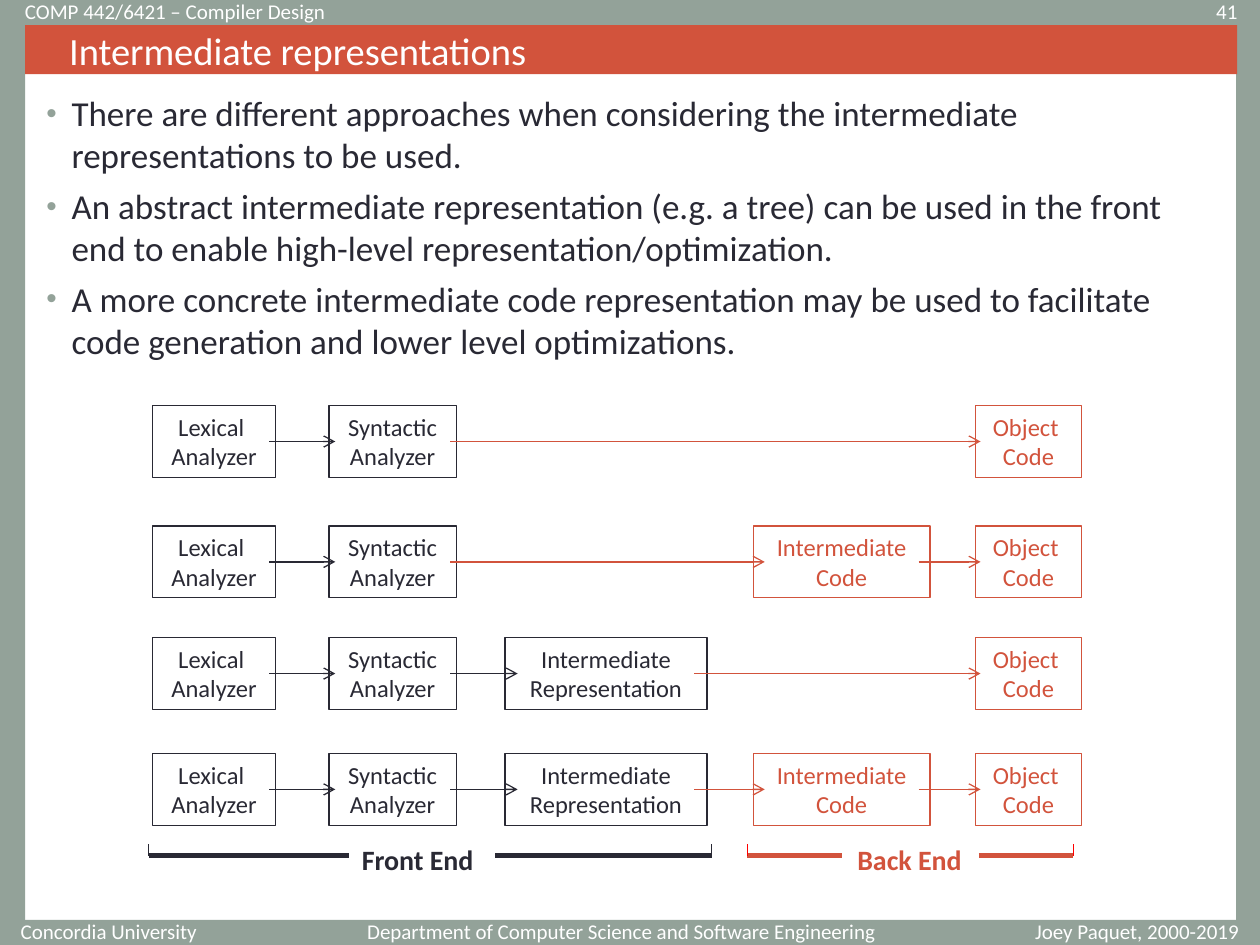
from pptx import Presentation
from pptx import util as u
from pptx.dml import color
from pptx.enum import shapes, text
from pptx.oxml import ns
from lxml import etree

INK, RED, SAGE, WHITE, TICK = "292934", "D2533C", "93A299", "FFFFFF", "FF0000"
LEFT, CENTER, RIGHT = text.PP_ALIGN.LEFT, text.PP_ALIGN.CENTER, text.PP_ALIGN.RIGHT

BARS = [(0, 0, 720, 14.4), (0, 525.6, 720, 14.4), (0, 0, 14.4, 535.7), (706.3, 13, 13.7, 527)]
TITLE = "Intermediate representations"
BULLETS = [
    "There are different approaches when considering the intermediate representations to be used.",
    "An abstract intermediate representation (e.g. a tree) can be used in the front end "
    "to enable high-level representation/optimization.",
    "A more concrete intermediate code representation may be used to facilitate "
    "code generation and lower level optimizations.",
]
MARGIN_TEXTS = [
    ("Concordia University ", 2.2, 527.8, 120.2, RIGHT),
    ("Department of Computer Science and Software Engineering", 201.6, 527.8, 306, RIGHT),
    ("Joey Paquet, 2000-2019", 575.3, 527.8, 149, CENTER),
    ("41", 630, 2.2, 84.2, RIGHT),
    ("COMP 442/6421 – Compiler Design", 7.2, 2.2, 403.2, LEFT),
]
STAGES = {
    "lexical": (["Lexical ", "Analyzer"], 87, 70.6, 3.6, INK),
    "syntactic": (["Syntactic", "Analyzer"], 188, 72.8, 3.6, INK),
    "representation": (["Intermediate", "Representation"], 288.6, 115.4, 7.2, INK),
    "code": (["Intermediate", "Code"], 430.6, 100.8, 6.4, RED),
    "object": (["Object ", "Code"], 557.3, 60.8, 3, RED),
}
PIPELINES = [
    (231.8, ["lexical", "syntactic", "object"]),
    (300.6, ["lexical", "syntactic", "code", "object"]),
    (364.4, ["lexical", "syntactic", "representation", "object"]),
    (430.6, ["lexical", "syntactic", "representation", "code", "object"]),
]
STAGE_HEIGHT = 41
BRACES = [
    ("Front End", 193, 91.4, INK, INK, (85, 199.4), (283, 406.6)),
    ("Back End", 476.6, 86.4, RED, TICK, (427, 481), (559.4, 613.4)),
]
BRACE_TOP, BRACE_BOTTOM = 482.4, 488.9


def rgb(value):
    return color.RGBColor.from_string(value)


def apply(target, values):
    for name, value in values.items():
        setattr(target, name, value)


def add_box(slide, left, top, width, height, fill=None, line=None):
    shape = slide.shapes.add_shape(
        shapes.MSO_SHAPE.RECTANGLE, u.Pt(left), u.Pt(top), u.Pt(width), u.Pt(height))
    shape.shadow.inherit = False
    if fill:
        shape.fill.solid()
        shape.fill.fore_color.rgb = rgb(fill)
    else:
        shape.fill.background()
    if line:
        shape.line.color.rgb = rgb(line)
        shape.line.width = u.Pt(0.75)
    else:
        shape.line.fill.background()
    return shape


def add_text_box(slide, left, top, width, height):
    return slide.shapes.add_textbox(u.Pt(left), u.Pt(top), u.Pt(width), u.Pt(height))


def write(shape, lines, size, ink, align=LEFT, bold=False, **frame_values):
    frame = shape.text_frame
    apply(frame, {"word_wrap": True, "vertical_anchor": text.MSO_ANCHOR.TOP, **frame_values})
    for index, line in enumerate(lines):
        paragraph = frame.paragraphs[0] if index == 0 else frame.add_paragraph()
        paragraph.alignment = align
        run = paragraph.add_run()
        run.text = line
        apply(run.font, {"name": "Calibri", "size": u.Pt(size), "bold": bold})
        run.font.color.rgb = rgb(ink)
    return frame.paragraphs


def indent(paragraph, margin, first=0):
    properties = paragraph._p.get_or_add_pPr()
    properties.set("marL", str(u.Pt(margin)))
    properties.set("indent", str(u.Pt(first)))
    return properties


def add_bullet(paragraph):
    properties = indent(paragraph, 14.4, -14.4)
    bullet_color = etree.SubElement(properties, ns.qn("a:buClr"))
    etree.SubElement(bullet_color, ns.qn("a:srgbClr"), val=SAGE)
    etree.SubElement(properties, ns.qn("a:buSzPct"), val="85000")
    etree.SubElement(properties, ns.qn("a:buFont"), typeface="Arial")
    etree.SubElement(properties, ns.qn("a:buChar"), char="•")


def add_line(slide, start, end, ink, width=0.75, arrow=False):
    connector = slide.shapes.add_connector(
        shapes.MSO_CONNECTOR.STRAIGHT, *(u.Pt(value) for value in (*start, *end)))
    connector.line.color.rgb = rgb(ink)
    connector.line.width = u.Pt(width)
    if arrow:
        etree.SubElement(connector.line._get_or_add_ln(), ns.qn("a:tailEnd"), type="arrow")
    etree.SubElement(connector._element.spPr, ns.qn("a:effectLst"))


def add_pipeline(slide, top, names):
    for name in names:
        lines, left, width, _, ink = STAGES[name]
        box = add_box(slide, left, top, width, STAGE_HEIGHT, line=ink)
        write(box, lines, 14, ink, CENTER, word_wrap=False,
              auto_size=text.MSO_AUTO_SIZE.SHAPE_TO_FIT_TEXT)
    middle = top + STAGE_HEIGHT / 2
    for source, target in zip(names, names[1:]):
        _, left, width, source_overlap, _ = STAGES[source]
        _, target_left, _, target_overlap, ink = STAGES[target]
        add_line(slide, (left + width - source_overlap, middle),
                 (target_left + target_overlap, middle), ink, arrow=True)


def add_brace(slide, label, left, width, ink, tick_ink, first, second):
    write(add_text_box(slide, left, 478, width, 26.6), [label], 16, ink, CENTER, True,
          word_wrap=False, auto_size=text.MSO_AUTO_SIZE.SHAPE_TO_FIT_TEXT)
    for start, end in (first, second):
        add_line(slide, (start, BRACE_BOTTOM), (end, BRACE_BOTTOM), ink, 3)
    for tick in (first[0], second[1]):
        add_line(slide, (tick, BRACE_TOP), (tick, BRACE_BOTTOM), tick_ink)


def main():
    presentation = Presentation()
    apply(presentation, {"slide_width": u.Pt(720), "slide_height": u.Pt(540)})
    slide = presentation.slides.add_slide(presentation.slide_layouts[6])

    for bar in BARS:
        add_box(slide, *bar, fill=SAGE)
    for label, left, top, width, align in MARGIN_TEXTS:
        write(add_text_box(slide, left, top, width, 8.6), [label], 12, WHITE, align,
              vertical_anchor=text.MSO_ANCHOR.MIDDLE)

    body = write(add_text_box(slide, 19.4, 49, 680.4, 470.9), BULLETS, 20, INK)
    for index, paragraph in enumerate(body):
        add_bullet(paragraph)
        paragraph.space_before = u.Pt(5 if index else 0)

    title = add_box(slide, 14.4, 14.4, 692.6, 28, fill=RED)
    indent(write(title, [TITLE], 22, WHITE, vertical_anchor=text.MSO_ANCHOR.MIDDLE)[0], 18)

    for top, names in PIPELINES:
        add_pipeline(slide, top, names)
    for brace in BRACES:
        add_brace(slide, *brace)

    presentation.save("out.pptx")


if __name__ == "__main__":
    main()
